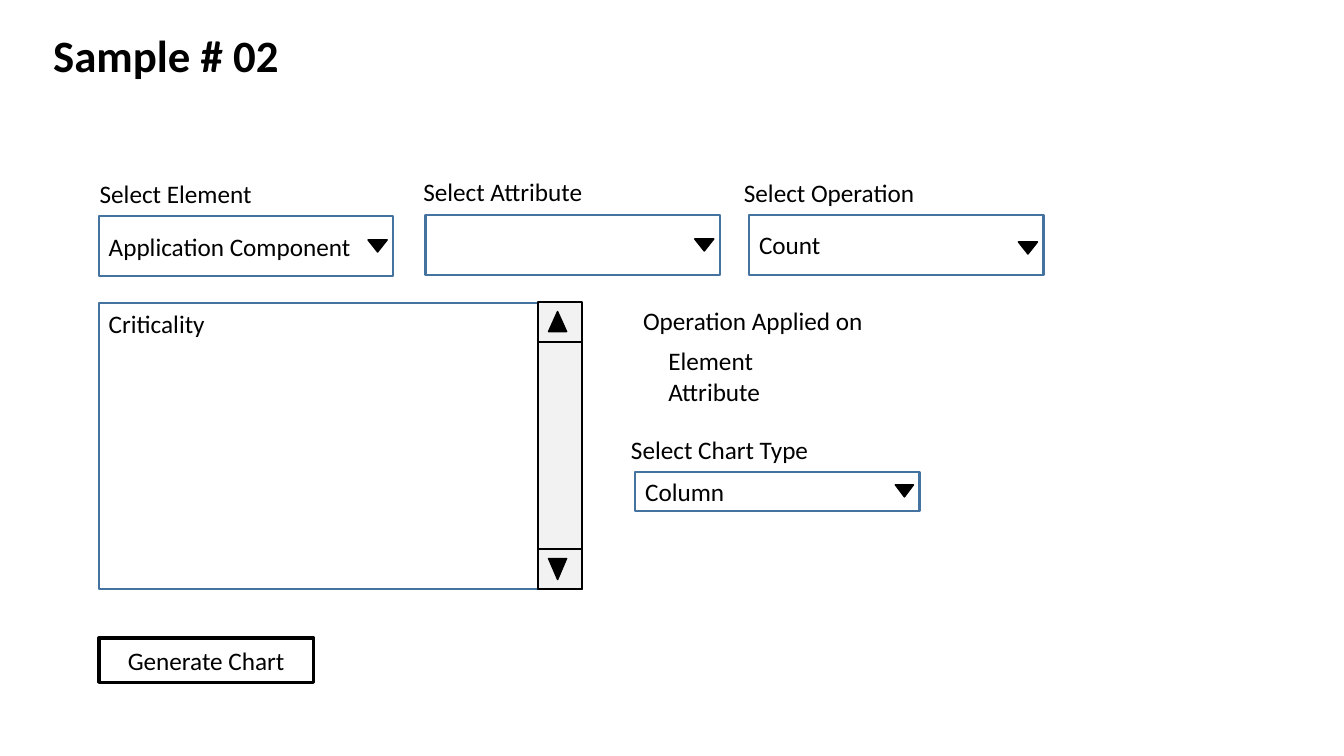
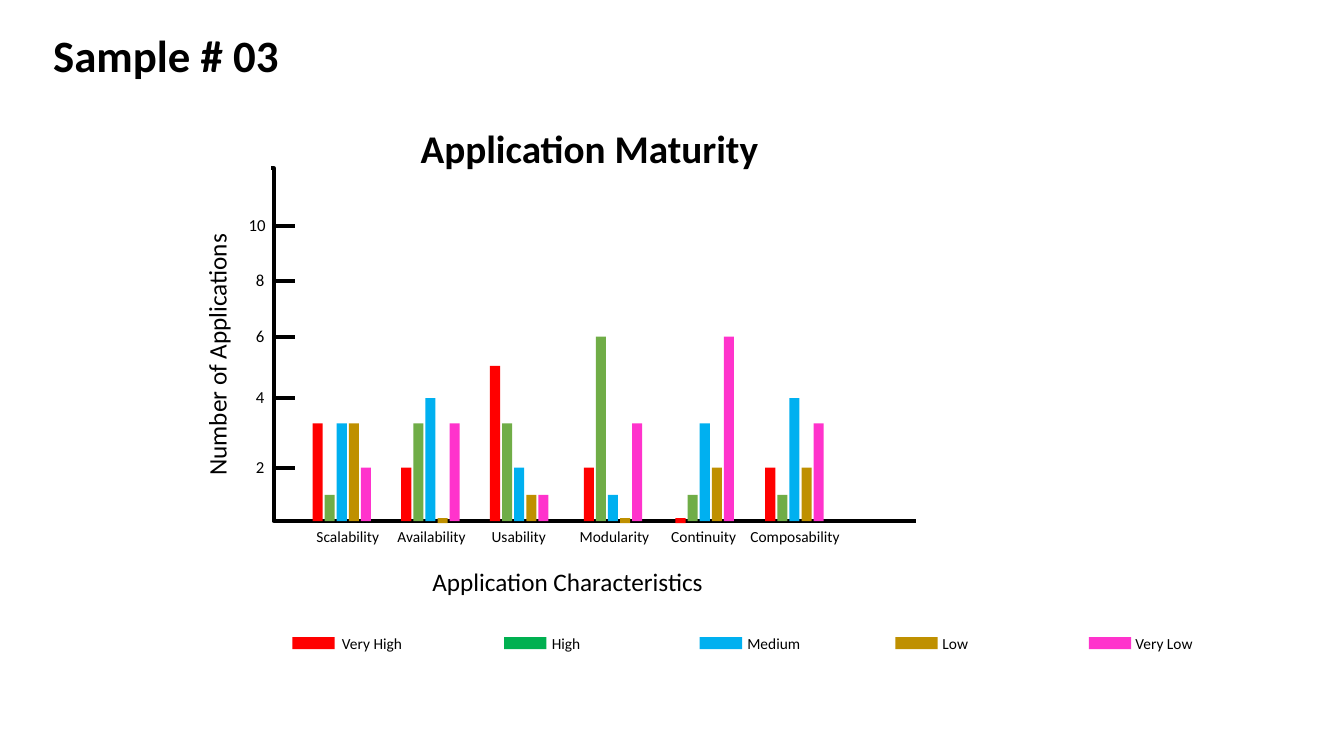
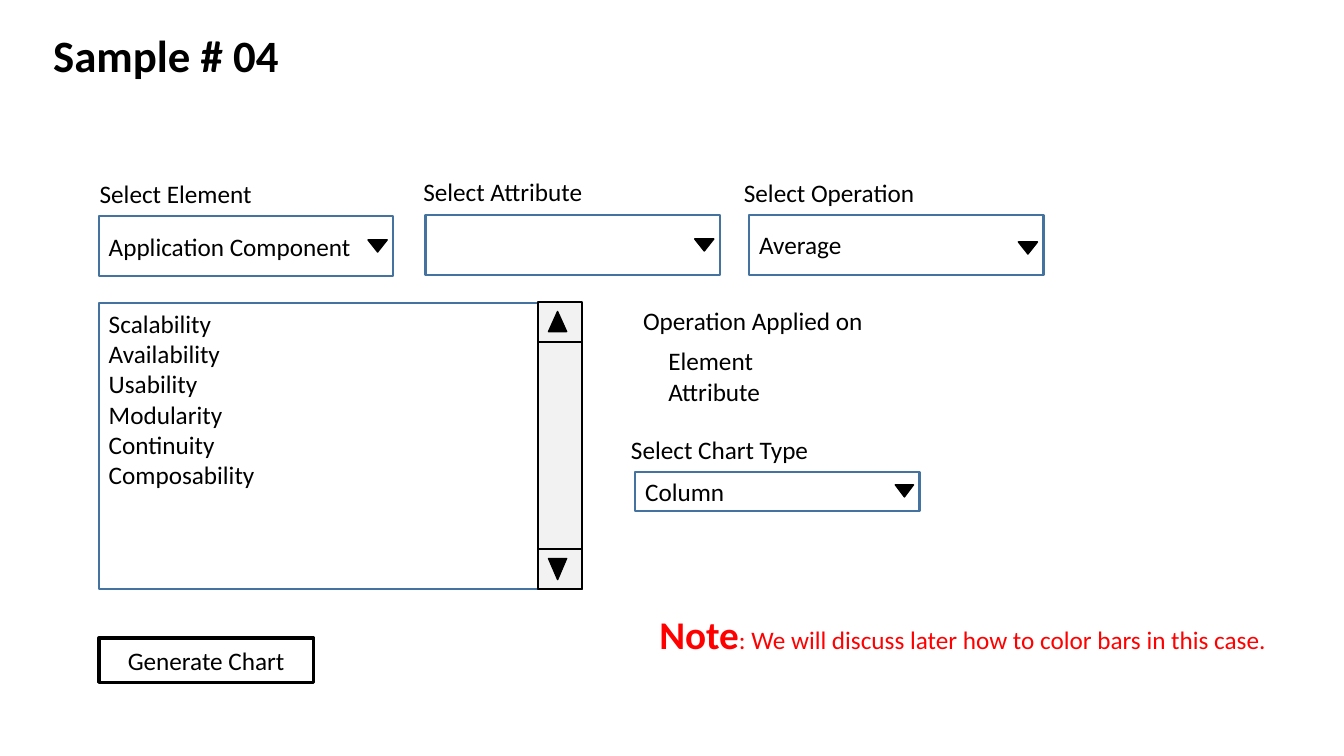
from lxml.etree import SubElement
from pptx import Presentation
from pptx.dml.color import RGBColor
from pptx.enum.shapes import MSO_CONNECTOR, MSO_SHAPE
from pptx.enum.text import MSO_ANCHOR, PP_ALIGN
from pptx.oxml.ns import qn
from pptx.util import Inches, Pt

FONT = "Calibri"
COLORS = {
    "black": "000000",
    "field": "43739E",
    "scroll": "F2F2F2",
    "red": "FF0000",
    "green": "70AD47",
    "legend_green": "00B050",
    "blue": "00B0F0",
    "gold": "BF9000",
    "pink": "FF33CC",
}
BAR_COLORS = ["red", "green", "blue", "gold", "pink"]
BASELINE = 5.17
RISES = {0: 0.03, 1: 0.26, 2: 0.53, 3: 0.97, 4: 1.22, 5: 1.54, 6: 1.83, 8: 2.38, 10: 2.93}
BAR_STEP, BAR_WIDTH, BAR_MINIMUM = 0.12, 0.1, 0.05
CATEGORIES = [
    ("Scalability", 3.01, 0.88, 3.1, [3, 1, 3, 3, 2]),
    ("Availability", 3.81, 0.94, 3.98, [2, 3, 4, 0, 3]),
    ("Usability", 4.77, 0.75, 4.86, [5, 3, 2, 1, 1]),
    ("Modularity", 5.63, 0.93, 5.79, [2, 6, 1, 0, 3]),
    ("Continuity", 6.51, 0.94, 6.7, [0, 1, 3, 2, 6]),
    ("Composability", 7.34, 1.09, 7.59, [2, 1, 4, 2, 3]),
]
LEGEND = [
    ("Very High", "red", 2.9, 3.25, 0.88),
    ("High", "legend_green", 5, 5.35, 0.53),
    ("Medium", "blue", 6.94, 7.29, 0.77),
    ("Low", "gold", 8.88, 9.09, 0.77),
    ("Very Low", "pink", 10.8, 11.04, 1.01),
]


def rgb(name):
    return RGBColor.from_string(COLORS[name])


def write_text(shape, *paragraphs, size=18, bold=False, color="black",
               align=PP_ALIGN.LEFT, anchor=MSO_ANCHOR.TOP, wrap=True):
    frame = shape.text_frame
    frame.word_wrap = wrap
    frame.vertical_anchor = anchor
    for index, content in enumerate(paragraphs):
        paragraph = frame.add_paragraph() if index else frame.paragraphs[0]
        paragraph.alignment = align
        runs = [(content, size, bold)] if isinstance(content, str) else content
        for text, run_size, run_bold in runs:
            run = paragraph.add_run()
            run.text = text
            run.font.name = FONT
            run.font.size = Pt(run_size)
            run.font.bold = run_bold
            run.font.color.rgb = rgb(color)


def add_text(slide, box, *paragraphs, **text_format):
    shape = slide.shapes.add_textbox(*map(Inches, box))
    write_text(shape, *paragraphs, **text_format)
    return shape


def add_box(slide, box, fill=None, line=None, width=1.5, kind=MSO_SHAPE.RECTANGLE):
    shape = slide.shapes.add_shape(kind, *map(Inches, box))
    shape.shadow.inherit = False
    if fill:
        shape.fill.solid()
        shape.fill.fore_color.rgb = rgb(fill)
    else:
        shape.fill.background()
    if line:
        shape.line.color.rgb = rgb(line)
        shape.line.width = Pt(width)
    else:
        shape.line.fill.background()
    return shape


def add_triangle(slide, box, down=True):
    shape = add_box(slide, box, "black", "black", 1, MSO_SHAPE.ISOSCELES_TRIANGLE)
    shape.rotation = 180 if down else 0


def add_line(slide, start, end, kind=MSO_CONNECTOR.STRAIGHT):
    connector = slide.shapes.add_connector(kind, *map(Inches, start + end))
    connector.line.color.rgb = rgb("black")
    connector.line.width = Pt(3)
    SubElement(connector._element.spPr, qn("a:effectLst"))
    return connector


def add_dropdown(slide, label, value, box, label_box, arrow_box):
    field = add_box(slide, box, line="field")
    if value:
        write_text(field, value, anchor=MSO_ANCHOR.MIDDLE)
    add_text(slide, label_box, label)
    add_triangle(slide, arrow_box)


def add_list(slide, items):
    write_text(add_box(slide, (0.98, 3.01, 4.79, 2.83), line="field"), *items)
    for top, height in ((3.01, 2.83), (5.45, 0.39), (3, 0.39)):
        add_box(slide, (5.34, top, 0.43, height), "scroll", "black")
    add_triangle(slide, (5.44, 3.09, 0.18, 0.2), down=False)
    add_triangle(slide, (5.44, 5.54, 0.18, 0.21))


def add_titled_slide(presentation, title):
    slide = presentation.slides.add_slide(presentation.slide_layouts[6])
    add_text(slide, (0.43, 0.23, 6.13, 0.64), title, size=32, bold=True)
    return slide


def add_form_slide(presentation, title, items, operation):
    slide = add_titled_slide(presentation, title)
    button = add_box(slide, (0.98, 6.33, 2.13, 0.44), line="black", width=2.5)
    write_text(button, "Generate Chart", align=PP_ALIGN.CENTER, anchor=MSO_ANCHOR.MIDDLE)
    add_list(slide, items)
    add_dropdown(slide, "Select Element", "Application Component",
                 (0.98, 2.14, 2.92, 0.6), (0.89, 1.72, 2.82, 0.41), (3.65, 2.38, 0.19, 0.12))
    add_dropdown(slide, "Select Attribute", "",
                 (4.22, 2.13, 2.92, 0.6), (4.1, 1.7, 2.82, 0.41), (6.89, 2.37, 0.19, 0.12))
    add_dropdown(slide, "Select Operation", operation,
                 (7.43, 2.13, 2.92, 0.6), (7.28, 1.71, 2.82, 0.41), (10.1, 2.4, 0.19, 0.12))
    add_dropdown(slide, "Select Chart Type", "Column",
                 (6.3, 4.68, 2.82, 0.39), (6.16, 4.26, 2.72, 0.41), (8.88, 4.81, 0.18, 0.12))
    add_text(slide, (6.28, 2.98, 2.5, 0.4), "Operation Applied on")
    add_text(slide, (6.53, 3.38, 1.48, 0.71), "Element", "Attribute")
    return slide


def add_axes(slide):
    axes = add_line(slide, (2.69, 1.67), (9.09, BASELINE), MSO_CONNECTOR.ELBOW)
    geometry = axes._element.spPr.find(qn("a:prstGeom"))
    SubElement(geometry.find(qn("a:avLst")), qn("a:gd"), name="adj1", fmla="val 400")
    for value in range(2, 11, 2):
        top = BASELINE - RISES[value]
        add_line(slide, (2.7, top), (2.93, top))
        left, width = (2.35, 0.4) if value == 10 else (2.43, 0.3)
        add_text(slide, (left, top - 0.16, width, 0.3), str(value),
                 size=12, align=PP_ALIGN.CENTER, wrap=False)
    vertical = add_text(slide, (1.95, 2.02, 0.5, 3), "Number of Applications", align=PP_ALIGN.CENTER)
    vertical.text_frame._txBody.bodyPr.set("vert", "vert270")
    add_text(slide, (4.1, 5.57, 3.06, 0.4), "Application Characteristics", align=PP_ALIGN.CENTER)


def add_bars(slide):
    for name, label_left, label_width, bar_left, values in CATEGORIES:
        add_text(slide, (label_left, 5.18, label_width, 0.29), name,
                 size=11, align=PP_ALIGN.CENTER, wrap=False)
        for index, (value, color) in enumerate(zip(values, BAR_COLORS)):
            rise = RISES[value]
            add_box(slide, (bar_left + index * BAR_STEP, BASELINE - rise,
                            BAR_WIDTH, max(rise, BAR_MINIMUM)), color)


def add_legend(slide):
    for name, color, key_left, label_left, label_width in LEGEND:
        add_box(slide, (key_left, 6.32, 0.42, 0.12), color)
        add_text(slide, (label_left, 6.24, label_width, 0.29), name,
                 size=11, align=PP_ALIGN.CENTER, wrap=False)


def add_chart_slide(presentation):
    slide = add_titled_slide(presentation, "Sample # 03")
    add_axes(slide)
    add_text(slide, (3.45, 1.18, 4.79, 0.57), "Application Maturity",
             size=28, bold=True, align=PP_ALIGN.CENTER)
    add_bars(slide)
    add_legend(slide)


def main():
    presentation = Presentation()
    presentation.slide_width = Inches(13.33)
    presentation.slide_height = Inches(7.5)
    add_form_slide(presentation, "Sample # 02", ["Criticality"], "Count")
    add_chart_slide(presentation)
    names = [category[0] for category in CATEGORIES]
    slide = add_form_slide(presentation, "Sample # 04", names, "Average")
    note = [("Note", 28, True),
            (": We will discuss later how to color bars in this case.", 18, False)]
    add_text(slide, (6.44, 6.01, 6.48, 0.57), note, color="red")
    presentation.save("out.pptx")


if __name__ == "__main__":
    main()
